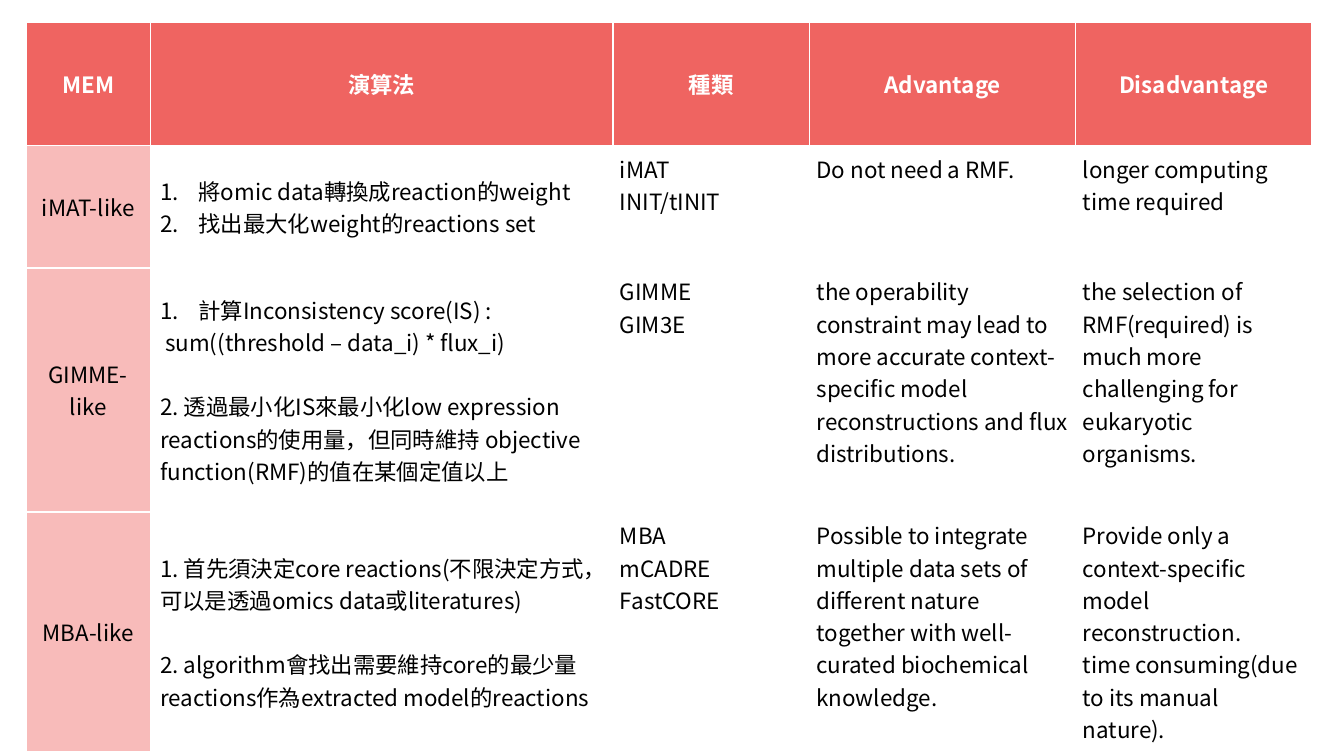
from lxml import etree
from pptx import Presentation
from pptx.dml.color import RGBColor
from pptx.enum.text import MSO_ANCHOR, PP_ALIGN
from pptx.oxml.ns import qn
from pptx.util import Inches, Pt

MIDDLE, TOP = MSO_ANCHOR.MIDDLE, MSO_ANCHOR.TOP
CENTER, LEFT = PP_ALIGN.CENTER, PP_ALIGN.LEFT
WHITE = RGBColor(0xFF, 0xFF, 0xFF)
BLACK = RGBColor(0x00, 0x00, 0x00)
CORAL = RGBColor(0xEF, 0x64, 0x61)
PINK = RGBColor(0xF8, 0xBB, 0xBA)
FONT = "Noto Sans CJK JP"
SIZE = Pt(16)
LINE_GAP = Pt(23)
NUMBER_INDENT = Inches(0.38)
FORMULA_INDENT = Inches(0.05)
CELL_MARGIN = Inches(0.07)

COLUMN_WIDTHS = [1.23, 4.59, 1.95, 2.64, 2.34]
ROW_HEIGHTS = [1.22, 1.22, 2.42, 2.19]
HEADERS = ["MEM", "演算法", "種類", "Advantage", "Disadvantage"]
METHODS = [
    ["iMAT-like",
     ["將omic data轉換成reaction的weight", "找出最大化weight的reactions set"],
     ["iMAT", "INIT/tINIT"],
     ["Do not need a RMF."],
     ["longer computing time required"]],
    ["GIMME-like",
     ["計算Inconsistency score(IS) :",
      "sum((threshold – data_i) * flux_i)",
      "2. 透過最小化IS來最小化low expression reactions的使用量，但同時維持 "
      "objective function(RMF)的值在某個定值以上"],
     ["GIMME", "GIM3E"],
     ["the operability constraint may lead to more accurate context-specific "
      "model reconstructions and flux distributions."],
     ["the selection of RMF(required) is much more challenging for "
      "eukaryotic organisms."]],
    ["MBA-like",
     ["1. 首先須決定core reactions(不限決定方式，可以是透過omics data或literatures)",
      "2. algorithm會找出需要維持core的最少量reactions作為extracted model的reactions"],
     ["MBA", "mCADRE", "FastCORE"],
     ["Possible to integrate multiple data sets of different nature together "
      "with well-curated biochemical knowledge."],
     ["Provide only a context-specific model reconstruction.",
      "time consuming(due to its manual nature)."]],
]


def fill_cell(cell, lines, fill, color=BLACK, bold=False, align=LEFT, anchor=MIDDLE):
    cell.fill.solid()
    cell.fill.fore_color.rgb = fill
    cell.vertical_anchor = anchor
    tf = cell.text_frame
    tf.text = "\n".join(lines)
    for p in tf.paragraphs:
        p.alignment = align
        font = p.font
        font.name, font.size, font.bold = FONT, SIZE, bold
        font.color.rgb = color
        east_asian = etree.SubElement(p._p.pPr.find(qn("a:defRPr")), qn("a:ea"))
        east_asian.set("typeface", FONT)


def number_paragraph(p):
    pPr = p._p.get_or_add_pPr()
    pPr.set("marL", str(NUMBER_INDENT))
    pPr.set("indent", str(-NUMBER_INDENT))
    numbering = etree.Element(qn("a:buAutoNum"), type="arabicPeriod")
    pPr.find(qn("a:defRPr")).addprevious(numbering)


def format_algorithms(table):
    imat, gimme, mba = [table.cell(i, 1).text_frame.paragraphs for i in (1, 2, 3)]
    for p in (*imat, gimme[0]):
        number_paragraph(p)
    gimme[1]._p.get_or_add_pPr().set("marL", str(FORMULA_INDENT))
    for p in (gimme[-1], mba[-1]):
        p.space_before = LINE_GAP


def add_method_table(s):
    table = s.shapes.add_table(
        len(ROW_HEIGHTS), len(COLUMN_WIDTHS), Inches(0.26), Inches(0.22),
        Inches(sum(COLUMN_WIDTHS)), Inches(sum(ROW_HEIGHTS))).table
    table.horz_banding = False
    for column, width in zip(table.columns, COLUMN_WIDTHS):
        column.width = Inches(width)
    for row, height in zip(table.rows, ROW_HEIGHTS):
        row.height = Inches(height)
    for j, header in enumerate(HEADERS):
        fill_cell(table.cell(0, j), [header], CORAL, WHITE, True, CENTER)
    for i, (method, algorithm, *details) in enumerate(METHODS, 1):
        fill_cell(table.cell(i, 0), [method], PINK, align=CENTER)
        fill_cell(table.cell(i, 1), algorithm, WHITE)
        for j, lines in enumerate(details, 2):
            cell = table.cell(i, j)
            fill_cell(cell, lines, WHITE, anchor=TOP)
            cell.margin_left = cell.margin_right = CELL_MARGIN
            cell.margin_top = cell.margin_bottom = CELL_MARGIN
    format_algorithms(table)


def main():
    prs = Presentation()
    prs.slide_width, prs.slide_height = Inches(13.33), Inches(7.5)
    s = prs.slides.add_slide(prs.slide_layouts[6])
    add_method_table(s)
    prs.save("out.pptx")


if __name__ == "__main__":
    main()
